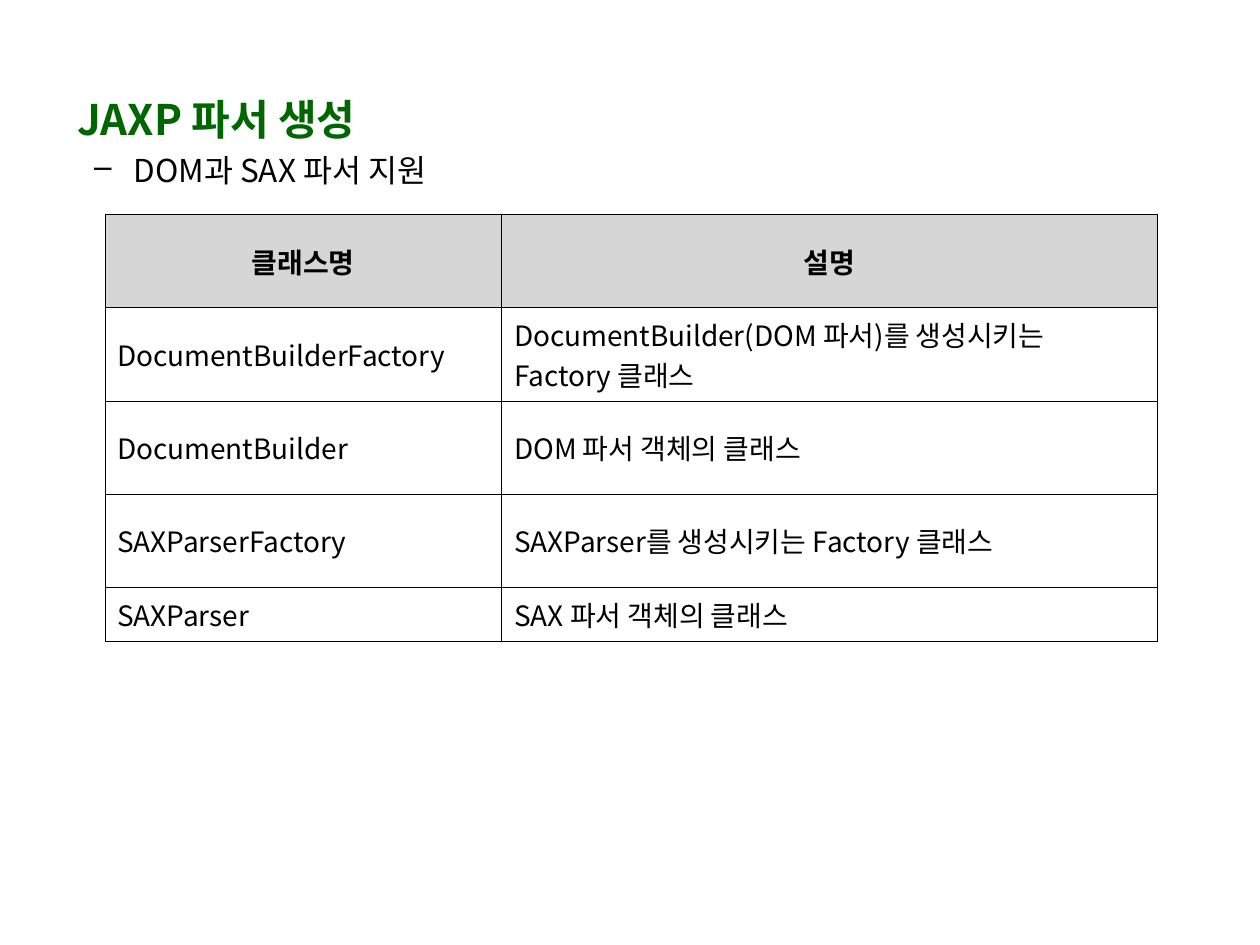
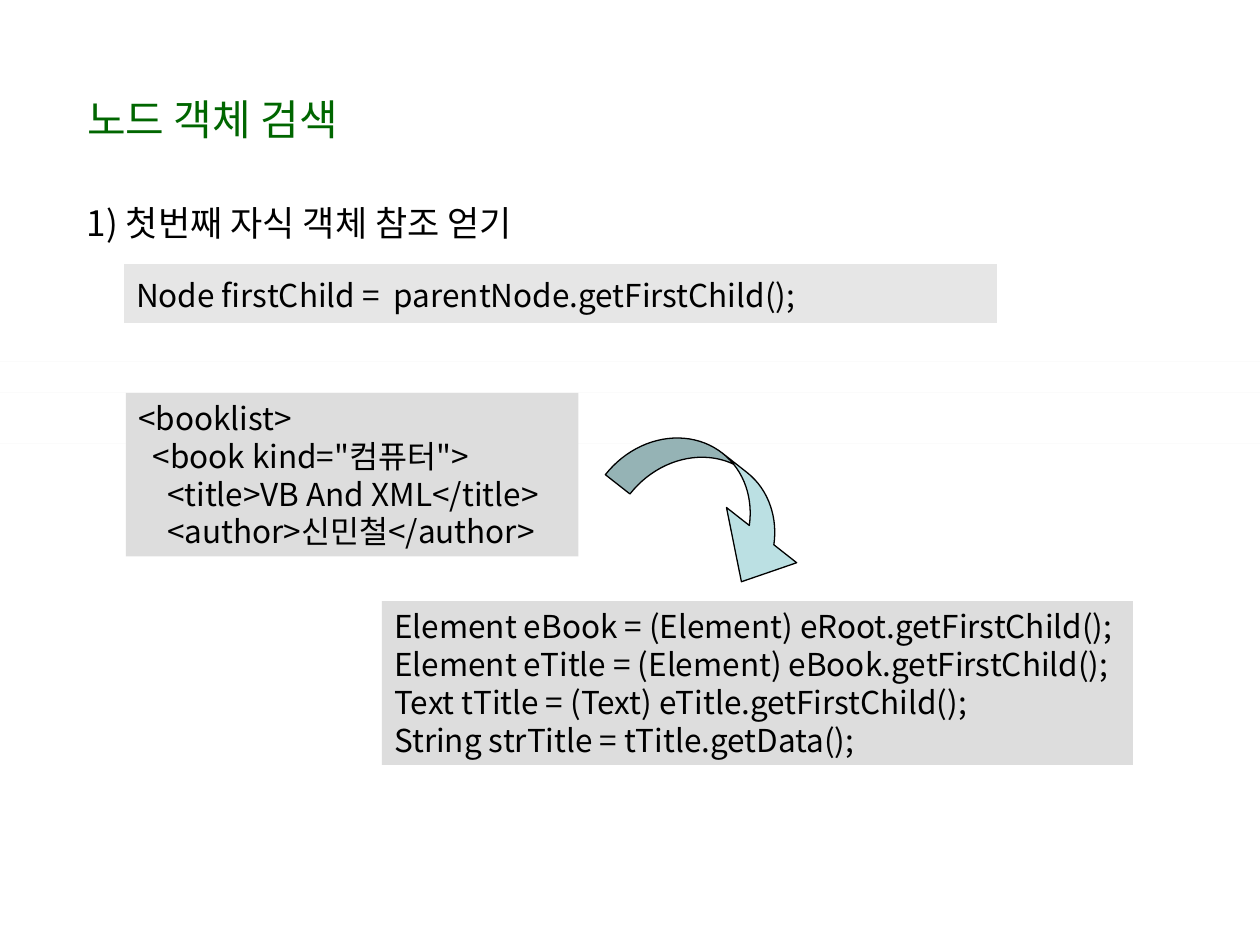
from lxml.etree import SubElement
from pptx import Presentation
from pptx.dml.color import RGBColor
from pptx.enum.shapes import MSO_SHAPE
from pptx.enum.text import MSO_ANCHOR, MSO_AUTO_SIZE, PP_ALIGN
from pptx.oxml.ns import qn
from pptx.util import Cm, Pt

FONT = "Noto Sans CJK KR"
GREEN = RGBColor(0x00, 0x66, 0x00)
BLACK = RGBColor(0x00, 0x00, 0x00)
HEADER_GRAY = RGBColor(0xD6, 0xD6, 0xD6)
CODE_GRAY = RGBColor(0xDD, 0xDD, 0xDD)
LIGHT_GRAY = RGBColor(0xE6, 0xE6, 0xE6)
PALE_TEAL = RGBColor(0xBB, 0xE0, 0xE3)
SLIDE_WIDTH, SLIDE_HEIGHT = Cm(25.4), Cm(19.05)


class Deck:
    """Holds the shared style and the slide being built."""

    def __init__(self):
        self.presentation = Presentation()
        self.presentation.slide_width = SLIDE_WIDTH
        self.presentation.slide_height = SLIDE_HEIGHT
        self.slide = None

    def style(self, paragraph, size, color=BLACK, bold=False, align=PP_ALIGN.LEFT):
        paragraph.alignment = align
        font = paragraph.font
        font.name, font.size, font.bold = FONT, Pt(size), bold
        font.color.rgb = color
        defaults = paragraph._p.pPr.find(qn("a:defRPr"))
        SubElement(defaults, qn("a:ea")).set("typeface", FONT)

    def indent(self, paragraph, left, first=0):
        properties = paragraph._p.get_or_add_pPr()
        properties.set("marL", str(Cm(left)))
        properties.set("indent", str(Cm(first)))

    def add_slide(self, title, left, width, bold=False):
        layout = self.presentation.slide_layouts[5]
        self.slide = self.presentation.slides.add_slide(layout)
        heading = self.slide.shapes.title
        heading.left, heading.top = Cm(left), Cm(1.52)
        heading.width, heading.height = Cm(width), Cm(1.75)
        frame = heading.text_frame
        frame.text = title
        frame.auto_size = MSO_AUTO_SIZE.NONE
        frame.vertical_anchor = MSO_ANCHOR.MIDDLE
        self.style(frame.paragraphs[0], 24, GREEN, bold)

    def add_point(self, text, left, top, size, hanging, bullet=None):
        box = self.slide.shapes.add_textbox(Cm(left), Cm(top), Cm(22.86), Cm(1.4))
        box.text_frame.word_wrap = True
        paragraph = box.text_frame.paragraphs[0]
        paragraph.text = text
        paragraph.space_before = Pt(size / 4)
        self.indent(paragraph, hanging, -hanging)
        if bullet:
            SubElement(paragraph._p.pPr, qn("a:buChar")).set("char", bullet)
        self.style(paragraph, size)

    def add_shape(self, kind, left, top, width, height, fill, outline=None):
        shape = self.slide.shapes.add_shape(kind, Cm(left), Cm(top), Cm(width), Cm(height))
        shape.shadow.inherit = False
        shape.fill.solid()
        shape.fill.fore_color.rgb = fill
        if outline is None:
            shape.line.fill.background()
        else:
            shape.line.color.rgb = outline
            shape.line.width = Pt(0.75)
        return shape

    def add_code(self, lines, left, top, width):
        """Draw a code block; each line is a pair of nesting depth and text."""
        block = self.add_shape(MSO_SHAPE.RECTANGLE, left, top, width, 3.3, CODE_GRAY)
        frame = block.text_frame
        frame.word_wrap = False
        frame.auto_size = MSO_AUTO_SIZE.SHAPE_TO_FIT_TEXT
        frame.vertical_anchor = MSO_ANCHOR.TOP
        frame.text = "\n".join(text for _, text in lines)
        for paragraph, (depth, _) in zip(frame.paragraphs, lines):
            self.indent(paragraph, 0.29 * depth)
            paragraph.line_spacing = Pt(21.6)
            self.style(paragraph, 18)

    def add_table(self, rows, left, top, widths, heights):
        frame = self.slide.shapes.add_table(
            len(rows), len(widths), Cm(left), Cm(top), Cm(sum(widths)), Cm(sum(heights)))
        table = frame.table
        table.first_row = table.horz_banding = False
        for column, width in zip(table.columns, widths):
            column.width = Cm(width)
        for row, height, texts in zip(table.rows, heights, rows):
            row.height = Cm(height)
            for cell, text in zip(row.cells, texts):
                cell.text = text
        return table

    def format_cell(self, cell, size, fill=None, border=None, **text_style):
        self.style(cell.text_frame.paragraphs[0], size, **text_style)
        properties = cell._tc.get_or_add_tcPr()
        for side in ("a:lnL", "a:lnR", "a:lnT", "a:lnB"):
            line = SubElement(properties, qn(side), w="762")
            if border is None:
                SubElement(line, qn("a:noFill"))
            else:
                paint = SubElement(line, qn("a:solidFill"))
                SubElement(paint, qn("a:srgbClr")).set("val", str(border))
        if fill is None:
            cell.fill.background()
        else:
            cell.fill.solid()
            cell.fill.fore_color.rgb = fill


def build_parser_slide(deck):
    deck.add_slide("JAXP 파서 생성", 1.3, 15.21, bold=True)

    # Class table
    classes = [
        ("클래스명", "설명"),
        ("DocumentBuilderFactory", "DocumentBuilder(DOM 파서)를 생성시키는 Factory 클래스"),
        ("DocumentBuilder", "DOM 파서 객체의 클래스"),
        ("SAXParserFactory", "SAXParser를 생성시키는 Factory 클래스"),
        ("SAXParser", "SAX 파서 객체의 클래스"),
    ]
    table = deck.add_table(classes, 2.11, 4.32, [8, 13.21], [1.88] * 4 + [1.09])
    for index, row in enumerate(table.rows):
        for cell in row.cells:
            cell.vertical_anchor = MSO_ANCHOR.MIDDLE
            if index == 0:
                deck.format_cell(cell, 16, HEADER_GRAY, BLACK, bold=True, align=PP_ALIGN.CENTER)
            else:
                deck.format_cell(cell, 16, border=BLACK)

    deck.add_point("DOM과 SAX 파서 지원", 1.65, 2.92, 18, 0.79, bullet="–")


def build_search_slide(deck):
    deck.add_slide("노드 객체 검색", 1.5, 17.6)

    # Hairline bands across the slide
    for top in (7.29, 7.92, 8.94):
        deck.add_shape(MSO_SHAPE.RECTANGLE, 0, top, 25.4, 0, LIGHT_GRAY)

    # Statement
    deck.add_point("1) 첫번째 자식 객체 참조 얻기", 1.5, 3.94, 20, 0.97)
    statement = deck.add_table(
        [["Node firstChild =  parentNode.getFirstChild();"]], 2.49, 5.33, [17.6], [1.19])
    deck.format_cell(statement.cell(0, 0), 18, LIGHT_GRAY)

    # Document and the code that reads it
    deck.add_code([
        (0, "<booklist>"),
        (1, '<book kind="컴퓨터">'),
        (2, "<title>VB And XML</title>"),
        (2, "<author>신민철</author>"),
    ], 2.54, 7.92, 9.12)
    deck.add_code([
        (0, "Element eBook = (Element) eRoot.getFirstChild();"),
        (0, "Element eTitle = (Element) eBook.getFirstChild();"),
        (0, "Text tTitle = (Text) eTitle.getFirstChild();"),
        (0, "String strTitle = tTitle.getData();"),
    ], 7.7, 12.12, 15.14)

    # Arrow from document to code
    arrow = deck.add_shape(
        MSO_SHAPE.CURVED_DOWN_ARROW, 12.29, 9.32, 4.39, 1.8, PALE_TEAL, BLACK)
    arrow.rotation = 38.2
    for index, value in enumerate((0.35, 1, 0.55)):
        arrow.adjustments[index] = value


def main():
    deck = Deck()
    build_parser_slide(deck)
    build_search_slide(deck)
    deck.presentation.save("out.pptx")


if __name__ == "__main__":
    main()
